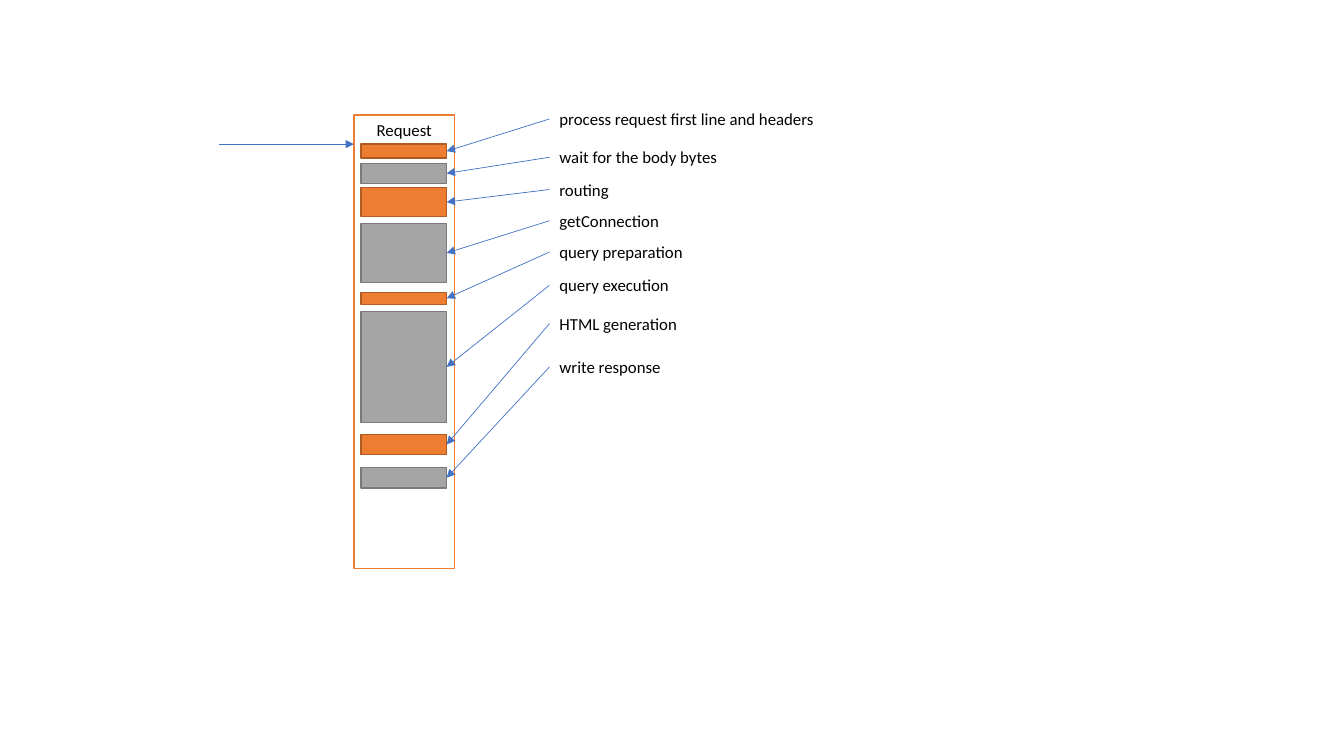
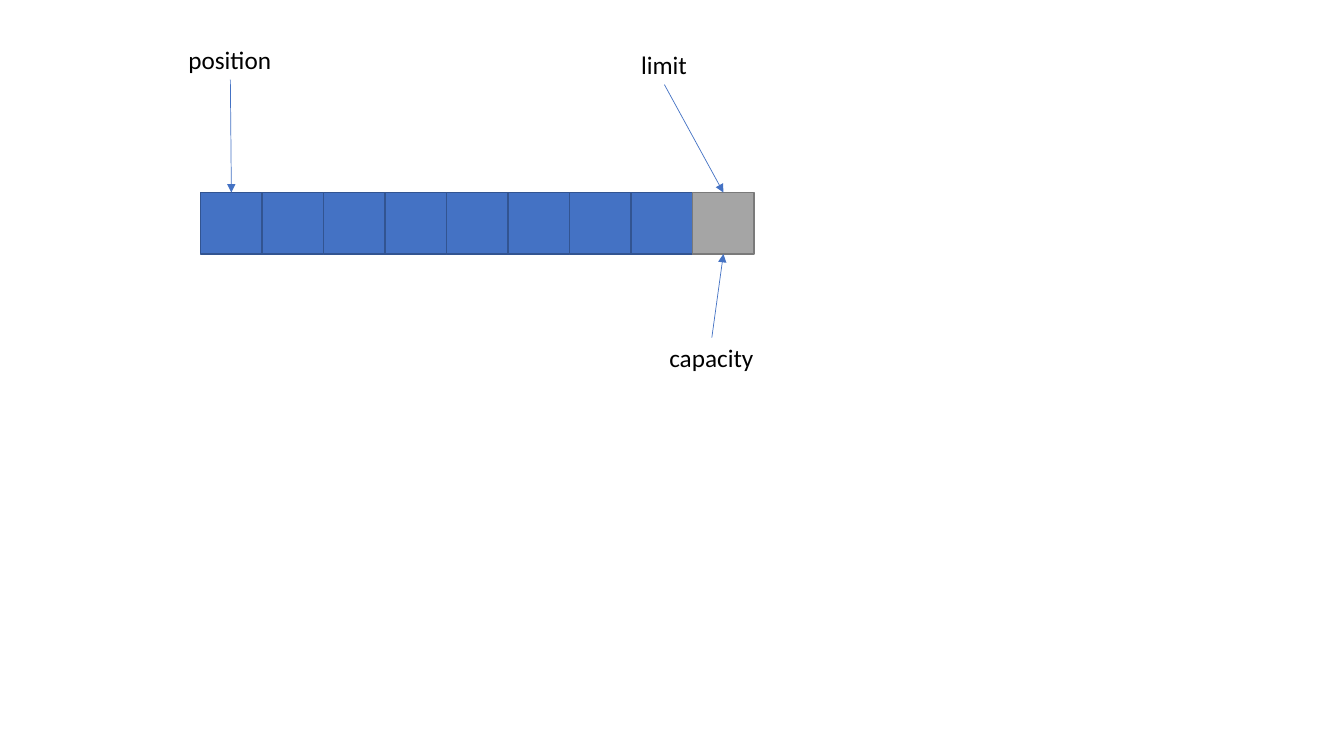
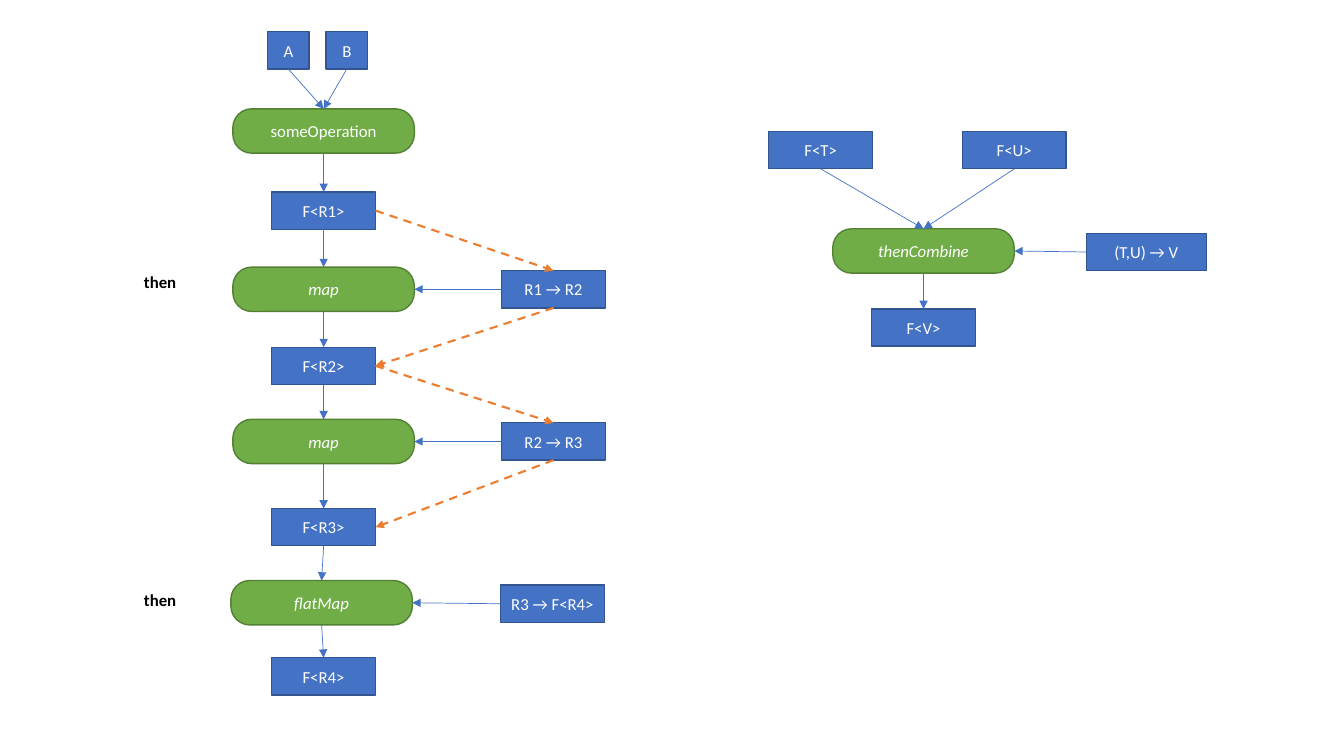
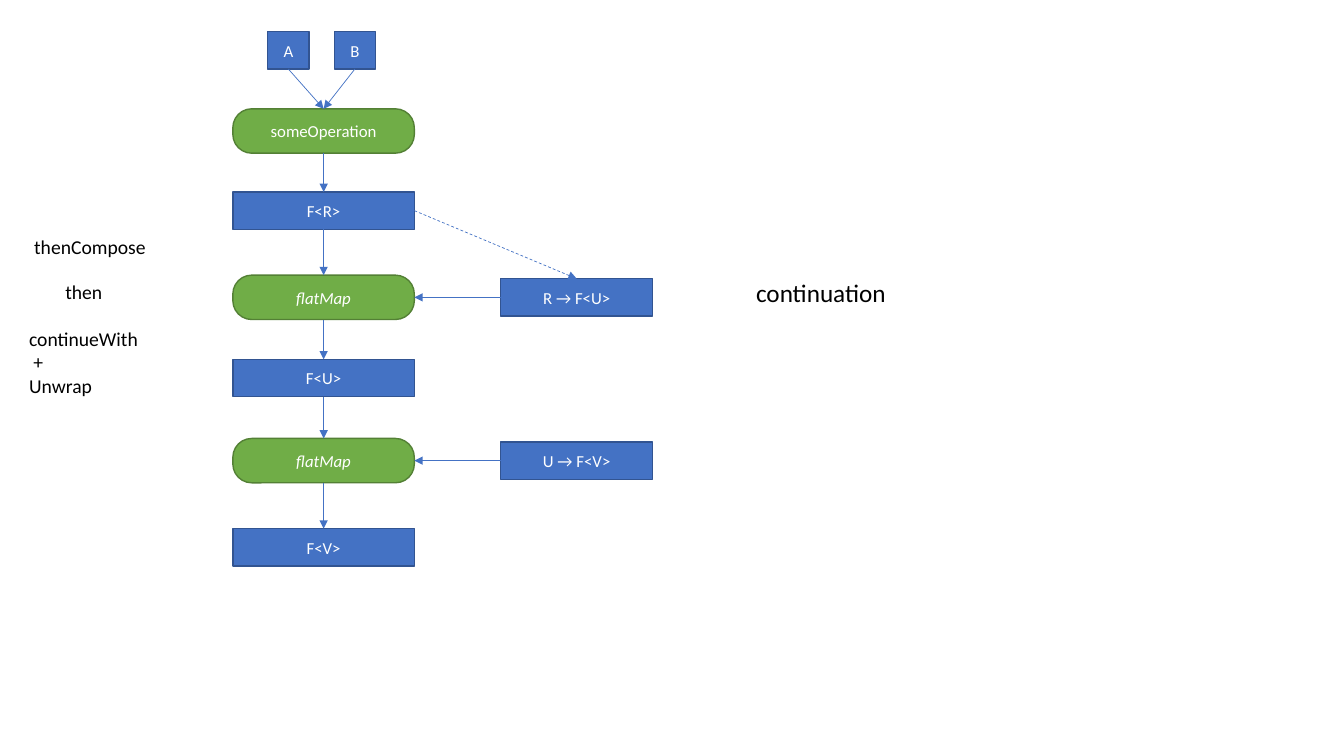
import dataclasses

import lxml.etree
import pptx
import pptx.dml.color
import pptx.enum.dml
import pptx.enum.shapes
import pptx.enum.text
import pptx.oxml.ns
import pptx.util

Inches = pptx.util.Inches
Pt = pptx.util.Pt
SHAPES = pptx.enum.shapes.MSO_SHAPE
ALIGN = pptx.enum.text.PP_ALIGN
ANCHOR = pptx.enum.text.MSO_ANCHOR
TOP, LEFT, BOTTOM, RIGHT = range(4)


@dataclasses.dataclass(frozen=True)
class Theme:
    font: str = "Calibri"
    black: str = "000000"
    white: str = "FFFFFF"
    blue: tuple = ("4472C4", "325491")
    green: tuple = ("70AD47", "538035")
    orange: tuple = ("ED7D31", "AF5C24")
    gray: tuple = ("A5A5A5", "7A7A7A")
    frame: tuple = ("FFFFFF", "ED7D31")
    small: int = 12
    medium: int = 14
    large: int = 18
    border: float = 1
    thin: float = 0.5
    thick: float = 1.5
    rounding: float = 0.424


THEME = Theme()
LABEL_HEIGHTS = {THEME.small: 0.3, THEME.medium: 0.34, THEME.large: 0.4}

REQUEST_STEPS = [
    ("process request first line and headers", 1.03, 2.75, THEME.orange, 1.43, 0.14),
    ("wait for the body bytes", 1.41, 1.78, THEME.gray, 1.62, 0.2),
    ("routing", 1.73, 0.7, THEME.orange, 1.86, 0.29),
    ("getConnection", 2.04, 1.2, THEME.gray, 2.22, 0.58),
    ("query preparation", 2.35, 1.43, THEME.orange, 2.9, 0.12),
    ("query execution", 2.68, 1.3, THEME.gray, 3.09, 1.1),
    ("HTML generation", 3.06, 1.38, THEME.orange, 4.31, 0.2),
    ("write response", 3.49, 1.22, THEME.gray, 4.64, 0.2),
]

BUFFER_CELLS = 9
BUFFER_MARKS = [
    ("position", 1.77, 0.39, 1.03, BOTTOM, 0, TOP),
    ("limit", 6.26, 0.44, 0.66, BOTTOM, BUFFER_CELLS - 1, TOP),
    ("capacity", 6.54, 3.35, 1.04, TOP, BUFFER_CELLS - 1, BOTTOM),
]

NODE_KINDS = {
    "input": (SHAPES.RECTANGLE, 0.41, 0.37, THEME.blue, False),
    "value": (SHAPES.RECTANGLE, 1.03, 0.37, THEME.blue, False),
    "pair": (SHAPES.RECTANGLE, 1.19, 0.37, THEME.blue, False),
    "lambda": (SHAPES.RECTANGLE, 1.51, 0.37, THEME.blue, False),
    "wide value": (SHAPES.RECTANGLE, 1.8, 0.37, THEME.blue, False),
    "call": (SHAPES.ROUNDED_RECTANGLE, 1.8, 0.44, THEME.green, False),
    "combinator": (SHAPES.ROUNDED_RECTANGLE, 1.8, 0.44, THEME.green, True),
}
ROUTES = {
    "down": (BOTTOM, TOP),
    "left": (LEFT, RIGHT),
    "out": (RIGHT, TOP),
    "back": (BOTTOM, RIGHT),
}

MAPPING = {
    "nodes": {
        "a": ("A", "input", 2.86, 0.5),
        "b": ("B", "input", 3.44, 0.5),
        "operation": ("someOperation", "call", 3.21, 1.3),
        "r1": ("F<R1>", "value", 3.21, 2.09),
        "map1": ("map", "combinator", 3.21, 2.87),
        "r1 to r2": ("R1 → R2", "value", 5.49, 2.87),
        "r2": ("F<R2>", "value", 3.21, 3.63),
        "map2": ("map", "combinator", 3.21, 4.38),
        "r2 to r3": ("R2 → R3", "value", 5.49, 4.38),
        "r3": ("F<R3>", "value", 3.21, 5.23),
        "flatMap": ("flatMap", "combinator", 3.19, 5.98),
        "r3 to r4": ("R3 → F<R4>", "value", 5.48, 5.99),
        "r4": ("F<R4>", "value", 3.21, 6.71),
        "t": ("F<T>", "value", 8.14, 1.49),
        "u": ("F<U>", "value", 10.06, 1.49),
        "combine": ("thenCombine", "combinator", 9.16, 2.49),
        "t u to v": ("(T,U) → V", "pair", 11.37, 2.5),
        "v": ("F<V>", "value", 9.16, 3.25),
    },
    "chains": [
        ["a", "operation", "r1", "map1", "r2", "map2", "r3", "flatMap", "r4"],
        ["b", "operation"],
        ["t", "combine", "v"],
        ["u", "combine"],
    ],
    "arguments": [("r1 to r2", "map1"), ("r2 to r3", "map2"),
                  ("r3 to r4", "flatMap"), ("t u to v", "combine")],
    "flows": [("r1", "out", "r1 to r2"), ("r1 to r2", "back", "r2"),
              ("r2", "out", "r2 to r3"), ("r2 to r3", "back", "r3")],
    "flow style": {"color": THEME.orange[0], "weight": THEME.thick},
    "labels": [
        (["then"], 1.33, 2.65, 0.53, THEME.small, True),
        (["then"], 1.33, 5.8, 0.53, THEME.small, True),
    ],
}

COMPOSING = {
    "nodes": {
        "a": ("A", "input", 2.86, 0.5),
        "b": ("B", "input", 3.52, 0.5),
        "operation": ("someOperation", "call", 3.21, 1.3),
        "r": ("F<R>", "wide value", 3.21, 2.09),
        "flatMap1": ("flatMap", "combinator", 3.21, 2.95),
        "r to u": ("R → F<U>", "lambda", 5.72, 2.95),
        "u": ("F<U>", "wide value", 3.21, 3.75),
        "flatMap2": ("flatMap", "combinator", 3.21, 4.57),
        "u to v": ("U → F<V>", "lambda", 5.72, 4.57),
        "v": ("F<V>", "wide value", 3.21, 5.43),
    },
    "chains": [
        ["a", "operation", "r", "flatMap1", "u", "flatMap2", "v"],
        ["b", "operation"],
    ],
    "arguments": [("r to u", "flatMap1"), ("u to v", "flatMap2")],
    "flows": [("r", "out", "r to u")],
    "flow style": {},
    "labels": [
        (["thenCompose"], 0.24, 2.28, 1.32, THEME.medium, False),
        (["then"], 0.55, 2.73, 0.57, THEME.medium, False),
        (["continueWith", " +", "Unwrap"], 0.19, 3.19, 1.3, THEME.medium, False),
        (["continuation"], 7.4, 2.7, 1.51, THEME.large, False),
    ],
}


def rgb(value):
    return pptx.dml.color.RGBColor.from_string(value)


def write_text(shape, lines, size=THEME.small, color=THEME.black, bold=False,
               italic=False, align=ALIGN.LEFT, anchor=ANCHOR.TOP, wrap=True):
    frame = shape.text_frame
    frame.word_wrap = wrap
    frame.vertical_anchor = anchor
    for index, line in enumerate(lines):
        paragraph = frame.add_paragraph() if index else frame.paragraphs[0]
        paragraph.alignment = align
        run = paragraph.add_run()
        run.text = line
        run.font.name = THEME.font
        run.font.size = Pt(size)
        run.font.bold = bold
        run.font.italic = italic
        run.font.color.rgb = rgb(color)


def add_label(slide, lines, x, y, width, size=THEME.small, bold=False):
    height = LABEL_HEIGHTS[size] + (len(lines) - 1) * size * 1.2 / 72
    label = slide.shapes.add_textbox(Inches(x), Inches(y), Inches(width), Inches(height))
    write_text(label, lines, size=size, bold=bold, wrap=False)
    label.text_frame.auto_size = pptx.enum.text.MSO_AUTO_SIZE.SHAPE_TO_FIT_TEXT
    return label


def add_box(slide, x, y, width, height, colors, outline=SHAPES.RECTANGLE):
    box = slide.shapes.add_shape(outline, Inches(x), Inches(y), Inches(width), Inches(height))
    fill, border = colors
    box.shadow.inherit = False
    box.fill.solid()
    box.fill.fore_color.rgb = rgb(fill)
    box.line.color.rgb = rgb(border)
    box.line.width = Pt(THEME.border)
    if outline == SHAPES.ROUNDED_RECTANGLE:
        box.adjustments[0] = THEME.rounding
    return box


def add_arrow(slide, start=(0, 0), end=(0, 0), color=THEME.blue[0], weight=THEME.thin,
              dashed=False):
    arrow = slide.shapes.add_connector(
        pptx.enum.shapes.MSO_CONNECTOR.STRAIGHT, *map(Inches, (*start, *end)))
    arrow.line.color.rgb = rgb(color)
    arrow.line.width = Pt(weight)
    if dashed:
        arrow.line.dash_style = pptx.enum.dml.MSO_LINE.DASH
    qn = pptx.oxml.ns.qn
    lxml.etree.SubElement(arrow.line._get_or_add_ln(), qn("a:tailEnd"), type="triangle")
    lxml.etree.SubElement(arrow._element.spPr, qn("a:effectLst"))
    return arrow


def join(slide, source, source_side, target, target_side, **style):
    arrow = add_arrow(slide, **style)
    arrow.begin_connect(source, source_side)
    arrow.end_connect(target, target_side)


def build_request(slide):
    request = add_box(slide, 3.51, 1.14, 1, 4.5, THEME.frame)
    write_text(request, ["Request"], align=ALIGN.CENTER)
    add_arrow(slide, (2.17, 1.43), (3.51, 1.43))
    for text, label_top, label_width, colors, top, height in REQUEST_STEPS:
        step = add_box(slide, 3.58, top, 0.85, height, colors)
        label = add_label(slide, [text], 5.45, label_top, label_width)
        join(slide, label, LEFT, step, RIGHT)


def build_buffer(slide):
    side = 0.61
    cells = []
    for index in range(BUFFER_CELLS):
        colors = THEME.gray if index == BUFFER_CELLS - 1 else THEME.blue
        cells.append(add_box(slide, 1.99 + index * side, 1.91, side, side, colors))
    for text, x, y, width, label_side, cell, cell_side in BUFFER_MARKS:
        label = add_label(slide, [text], x, y, width, size=THEME.large)
        join(slide, label, label_side, cells[cell], cell_side)


def build_flow(slide, flow):
    nodes = {}
    for key, (text, kind, center_x, center_y) in flow["nodes"].items():
        outline, width, height, colors, italic = NODE_KINDS[kind]
        node = add_box(slide, center_x - width / 2, center_y - height / 2,
                       width, height, colors, outline)
        write_text(node, [text], color=THEME.white, italic=italic,
                   align=ALIGN.CENTER, anchor=ANCHOR.MIDDLE)
        nodes[key] = node

    def link(source, route, target, **style):
        source_side, target_side = ROUTES[route]
        join(slide, nodes[source], source_side, nodes[target], target_side, **style)

    for chain in flow["chains"]:
        for source, target in zip(chain, chain[1:]):
            link(source, "down", target)
    for source, target in flow["arguments"]:
        link(source, "left", target)
    for source, route, target in flow["flows"]:
        link(source, route, target, dashed=True, **flow["flow style"])
    for label in flow["labels"]:
        add_label(slide, *label)


def main():
    deck = pptx.Presentation()
    deck.slide_width = Inches(13.33)
    deck.slide_height = Inches(7.5)
    blank = deck.slide_layouts[6]
    build_request(deck.slides.add_slide(blank))
    build_buffer(deck.slides.add_slide(blank))
    for flow in (MAPPING, COMPOSING):
        build_flow(deck.slides.add_slide(blank), flow)
    deck.save("out.pptx")


if __name__ == "__main__":
    main()
